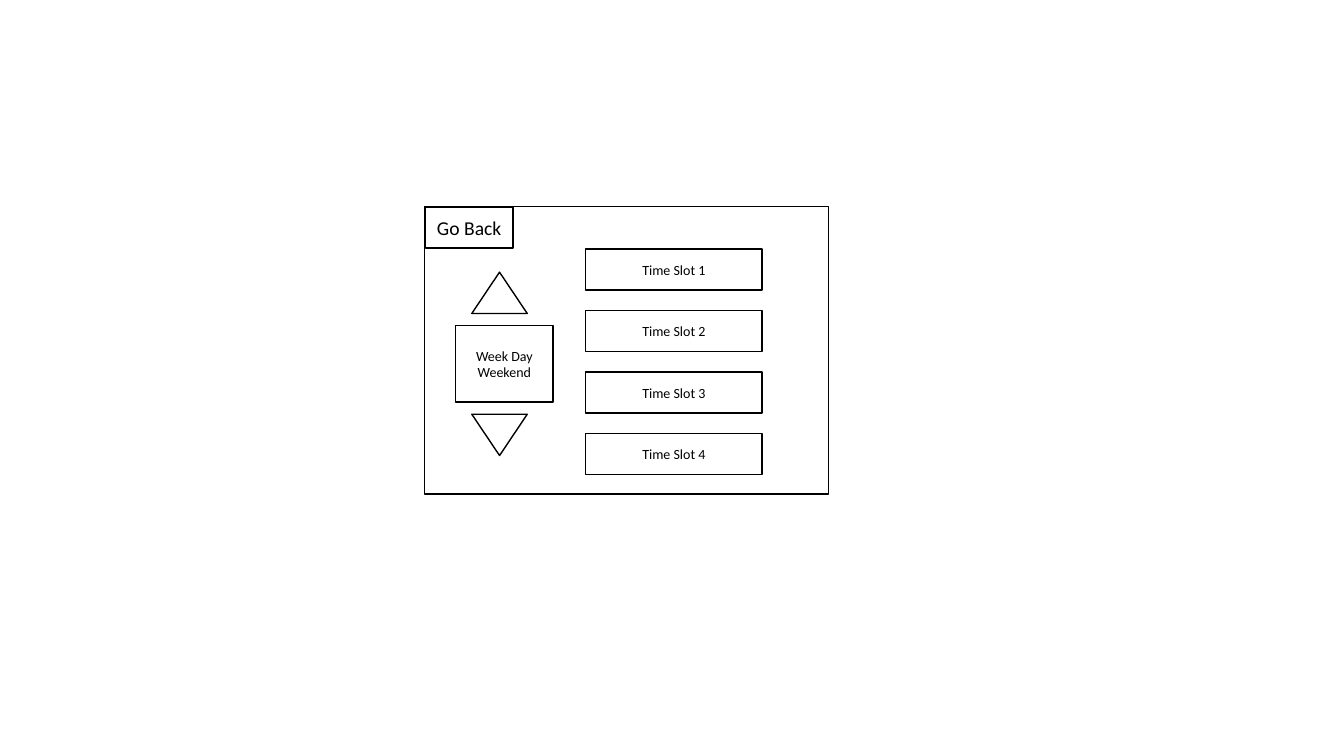
from pptx import Presentation
from pptx.dml.color import RGBColor
from pptx.enum import shapes, text
from pptx.util import Pt

COLORS = {"paper": "FFFFFF", "ink": "000000"}
FONT = "Calibri"
RECT = shapes.MSO_SHAPE.RECTANGLE
TRIANGLE = shapes.MSO_SHAPE.ISOSCELES_TRIANGLE
ROW = 29.5  # height of buttons and arrows


def color(name):
    return RGBColor.from_string(COLORS[name])


def add_box(slide, kind, left, top, width, height, lines=(), size=10):
    """Add an outlined shape with one centred paragraph per line."""
    box = slide.shapes.add_shape(kind, Pt(left), Pt(top), Pt(width), Pt(height))
    box.shadow.inherit = False
    box.fill.solid()
    box.fill.fore_color.rgb = color("paper")
    box.line.color.rgb = color("ink")
    box.line.width = Pt(1)
    frame = box.text_frame
    frame.word_wrap = True
    frame.vertical_anchor = text.MSO_ANCHOR.MIDDLE
    for i, line in enumerate(lines):
        para = frame.add_paragraph() if i else frame.paragraphs[0]
        para.alignment = text.PP_ALIGN.CENTER
        run = para.add_run()
        run.text = line
        run.font.name = FONT
        run.font.size = Pt(size)
        run.font.color.rgb = color("ink")
    return box


def add_arrow(slide, top, turn=0):
    arrow = add_box(slide, TRIANGLE, 337, top, 39.6, ROW)
    arrow.rotation = turn


def add_slots(slide, count):
    for i in range(count):
        add_box(slide, RECT, 418.3, 177.8 + i * 43.9, 126, ROW,
                [f"Time Slot {i + 1}"])


def main():
    prs = Presentation()
    prs.slide_width, prs.slide_height = Pt(960), Pt(540)
    slide = prs.slides.add_slide(prs.slide_layouts.get_by_name("Blank"))
    add_box(slide, RECT, 303.2, 147.6, 288.7, 205.2)
    add_box(slide, RECT, 303.8, 147.8, 62.8, ROW, ["Go Back"], 14)
    add_box(slide, RECT, 325.4, 232.6, 69.8, 54.7, ["Week Day", "Weekend"])
    add_arrow(slide, 194.4)
    add_arrow(slide, 295.9, 180)
    add_slots(slide, 4)
    prs.save("out.pptx")


if __name__ == "__main__":
    main()
